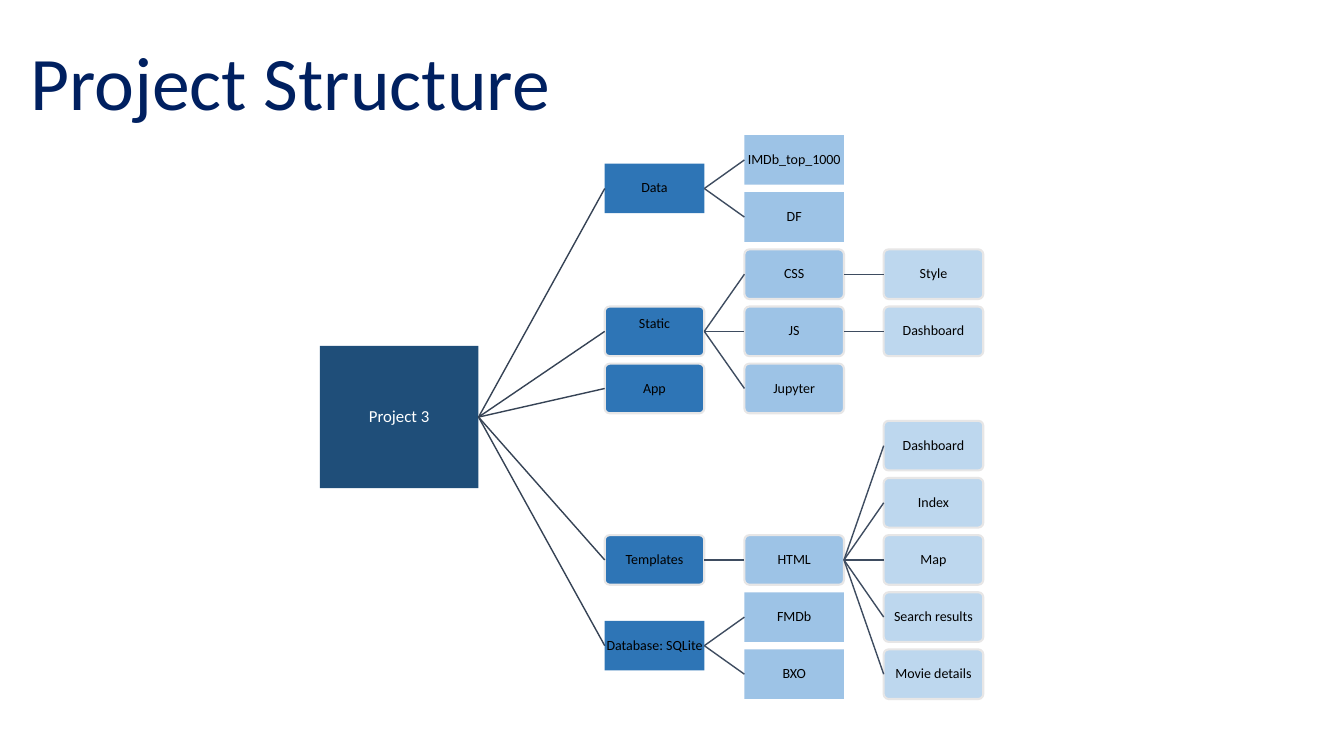
from pptx import Presentation
from pptx.dml.color import RGBColor
from pptx.enum.shapes import MSO_CONNECTOR, MSO_SHAPE
from pptx.enum.text import MSO_ANCHOR, MSO_AUTO_SIZE, PP_ALIGN
from pptx.oxml.ns import qn
from pptx.util import Cm, Pt
from lxml import etree

COLORS = {
    "title": "002060",
    "white": "FFFFFF",
    "black": "000000",
    "outline": "E7E6E6",
    "root_line": "364355",
    "branch_line": "3E4C60",
}
LEVEL_FILLS = ["1F4E79", "2E75B6", "9DC3E6", "BDD7EE"]

# Each level of the tree has its own left edge; rows are evenly spaced
LEVEL_LEFTS = [8.06, 15.24, 18.76, 22.27]
FIRST_ROW_CENTER, ROW_PITCH = 4.03, 1.44
ROOT_SIZE, NODE_SIZE = (4.0, 3.59), (2.51, 1.25)

# Node: (text, row of a leaf or list of children)
SQUARE_BRANCHES = ("Data", "Database: SQLite")
PROJECT_TREE = ("Project 3", [
    ("Data", [("IMDb_top_1000", 0), ("DF", 1)]),
    ("Static", [
        ("CSS", [("Style", 2)]),
        ("JS", [("Dashboard", 3)]),
        ("Jupyter", 4),
    ]),
    ("App", 4),
    ("Templates", [
        ("HTML", [
            ("Dashboard", 5),
            ("Index", 6),
            ("Map", 7),
            ("Search results", 8),
            ("Movie details", 9),
        ]),
    ]),
    ("Database: SQLite", [("FMDb", 8), ("BXO", 9)]),
])
RAISED_TEXT = {"Static": 0.38}


def row_of(content):
    """A parent sits midway between its first and last child."""
    if isinstance(content, list):
        return (row_of(content[0][1]) + row_of(content[-1][1])) / 2
    return content


class TreeSlide:
    font_name = "Calibri"

    def __init__(self, presentation):
        self.slide = presentation.slides.add_slide(presentation.slide_layouts[5])

    def color(self, name):
        return RGBColor.from_string(COLORS[name])

    def add_text(self, paragraph, text, size, color):
        paragraph.alignment = PP_ALIGN.CENTER
        run = paragraph.add_run()
        run.text = text
        run.font.name = self.font_name
        run.font.size = Pt(size)
        run.font.color.rgb = self.color(color)

    def title(self, text):
        title = self.slide.shapes.title
        title.left, title.top = Cm(0.43), Cm(0.74)
        title.width, title.height = Cm(13.77), Cm(2.57)
        frame = title.text_frame
        frame.word_wrap = False
        frame.auto_size = MSO_AUTO_SIZE.NONE
        frame.vertical_anchor = MSO_ANCHOR.MIDDLE
        self.add_text(frame.paragraphs[0], text, 54, "title")

    def box(self, text, level, row, rounded):
        width, height = NODE_SIZE if level else ROOT_SIZE
        top = FIRST_ROW_CENTER + row * ROW_PITCH - height / 2
        kind = MSO_SHAPE.ROUNDED_RECTANGLE if rounded else MSO_SHAPE.RECTANGLE
        shape = self.slide.shapes.add_shape(
            kind, Cm(LEVEL_LEFTS[level]), Cm(top), Cm(width), Cm(height))
        shape.shadow.inherit = False
        shape.fill.solid()
        shape.fill.fore_color.rgb = RGBColor.from_string(LEVEL_FILLS[level])
        if rounded:
            shape.adjustments[0] = 0.1
            shape.line.color.rgb = self.color("outline")
            shape.line.width = Pt(1.5)
        else:
            shape.line.fill.background()

        frame = shape.text_frame
        frame.word_wrap = False
        frame.vertical_anchor = MSO_ANCHOR.MIDDLE
        frame.margin_left = frame.margin_right = frame.margin_top = Cm(0.02)
        frame.margin_bottom = Cm(RAISED_TEXT.get(text, 0.02))
        paragraph = frame.paragraphs[0]
        paragraph.line_spacing = 0.9
        self.add_text(paragraph, text, 10 if level else 12,
                      "black" if level else "white")
        return shape

    def link(self, parent, child, color):
        connector = self.slide.shapes.add_connector(
            MSO_CONNECTOR.STRAIGHT, 0, 0, 0, 0)
        connector.begin_connect(parent, 3)  # right side
        connector.end_connect(child, 1)  # left side
        connector.line.color.rgb = self.color(color)
        connector.line.width = Pt(1)
        etree.SubElement(connector._element.spPr, qn("a:effectLst"))

    def tree(self, node, level=0, rounded=False):
        text, content = node
        shape = self.box(text, level, row_of(content), rounded)
        if isinstance(content, list):
            for child in content:
                child_rounded = rounded if level else child[0] not in SQUARE_BRANCHES
                child_shape = self.tree(child, level + 1, child_rounded)
                self.link(shape, child_shape,
                          "branch_line" if level else "root_line")
        return shape


def main():
    presentation = Presentation()
    presentation.slide_width, presentation.slide_height = Cm(33.87), Cm(19.05)
    tree_slide = TreeSlide(presentation)

    # Heading
    tree_slide.title("Project Structure")

    # Folder tree with its connecting lines
    tree_slide.tree(PROJECT_TREE)

    presentation.save("out.pptx")


if __name__ == "__main__":
    main()
